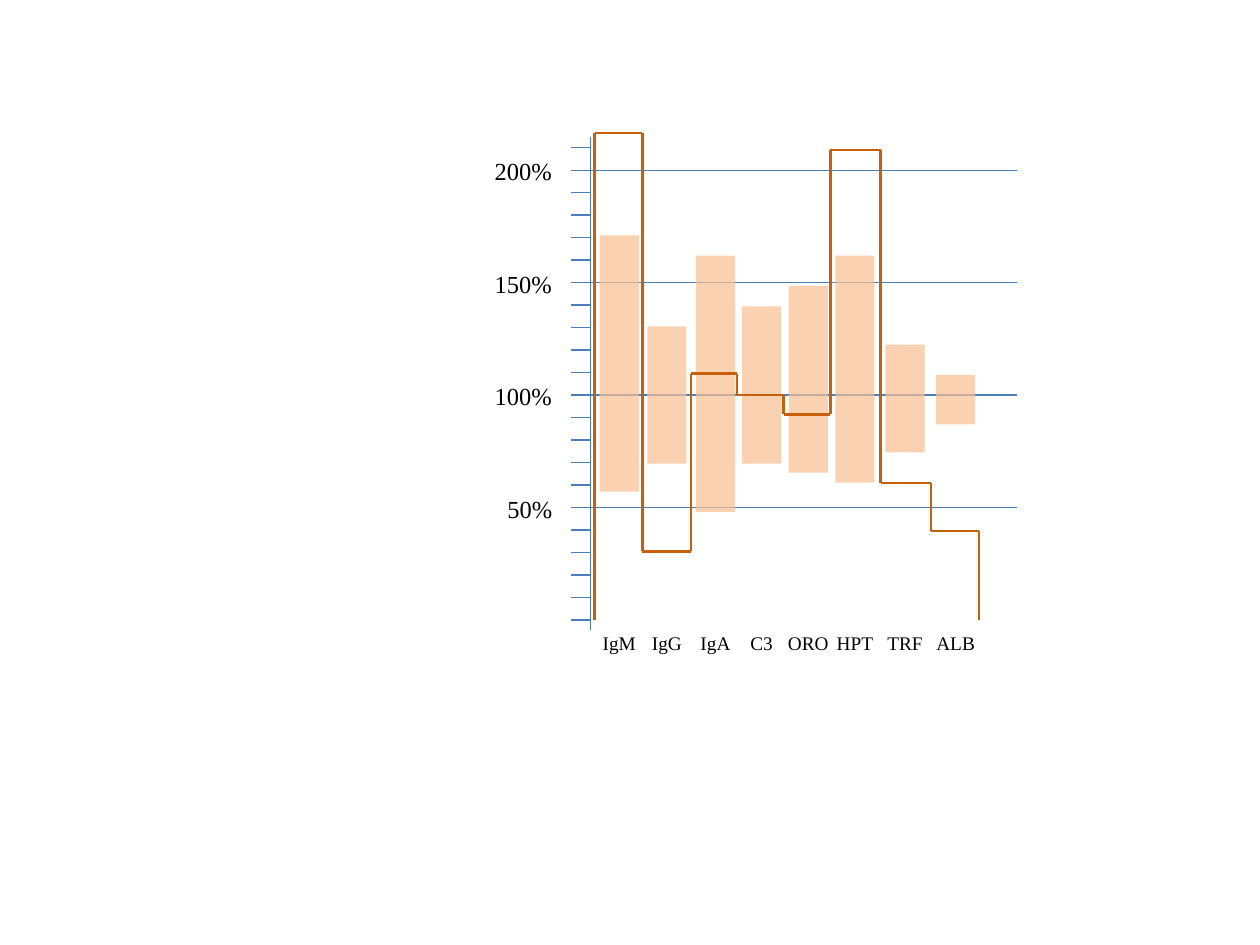
import pptx
import pptx.util
import pptx.dml.color
import pptx.enum.shapes
import pptx.enum.text
import pptx.oxml
import pptx.oxml.ns
from itertools import pairwise

Cm = pptx.util.Cm
Align = pptx.enum.text.PP_ALIGN
Anchor = pptx.enum.text.MSO_ANCHOR
HUES = {"axis": "4B7EBC", "step": "C96009", "bar": "FAC090", "text": "000000"}

ZERO, UNIT = 12.5, 9.07 / 200
AXIS, TICK, END = 11.91, 11.51, 20.5
BAR, GAP = 0.79, 0.1

PROTEINS = [
    ("IgM", 0.69, 57, 171, 216.5),
    ("IgG", 0.64, 69.5, 130.5, 30.5),
    ("IgA", 0.64, 48, 162, 109.5),
    ("C3", 0.48, 69.5, 139.5, 100),
    ("ORO", 0.91, 65.5, 148.5, 91.5),
    ("HPT", 0.91, 61, 162, 209),
    ("TRF", 0.89, 74.5, 122.5, 61),
    ("ALB", 0.89, 87, 109, 39.5),
]
EDGES = [11.99, 12.95, 13.93, 14.86, 15.8, 16.74, 17.75, 18.77, 19.74]


def level(percent):
    return ZERO - percent * UNIT


def color(name):
    return pptx.dml.color.RGBColor.from_string(HUES[name])


class Canvas:
    def __init__(self, slide, font):
        self.slide = slide
        self.font = font

    def line(self, x1, y1, x2, y2, hue="axis", width=0.75):
        link = self.slide.shapes.add_connector(
            pptx.enum.shapes.MSO_CONNECTOR.STRAIGHT, Cm(x1), Cm(y1), Cm(x2), Cm(y2))
        link.line.color.rgb = color(hue)
        link.line.width = pptx.util.Pt(width)
        props = link._element.spPr
        props.append(pptx.oxml.parse_xml(
            f"<a:effectLst {pptx.oxml.ns.nsdecls('a')}/>"))

    def bar(self, x, y, wide, high):
        rect = self.slide.shapes.add_shape(
            pptx.enum.shapes.MSO_SHAPE.RECTANGLE, Cm(x), Cm(y), Cm(wide), Cm(high))
        rect.shadow.inherit = False
        rect.line.fill.background()
        rect.fill.solid()
        rect.fill.fore_color.rgb = color("bar")
        tint = rect._element.spPr.find(".//" + pptx.oxml.ns.qn("a:srgbClr"))
        tint.append(pptx.oxml.parse_xml(
            f"<a:alpha {pptx.oxml.ns.nsdecls('a')} val='70000'/>"))

    def text(self, words, x, y, wide, high, size, align=Align.LEFT, tight=False):
        box = self.slide.shapes.add_textbox(Cm(x), Cm(y), Cm(wide), Cm(high))
        frame = box.text_frame
        frame.word_wrap = False
        frame.auto_size = pptx.enum.text.MSO_AUTO_SIZE.SHAPE_TO_FIT_TEXT
        if tight:
            frame.margin_left = frame.margin_right = 0
            frame.margin_top = frame.margin_bottom = Cm(0.03)
            frame.vertical_anchor = Anchor.MIDDLE
        line = frame.paragraphs[0]
        line.text = words
        line.alignment = align
        line.font.name = self.font
        line.font.size = pptx.util.Pt(size)
        line.font.color.rgb = color("text")


def main():
    deck = pptx.Presentation()
    deck.slide_width, deck.slide_height = Cm(25.4), Cm(19.05)
    art = Canvas(deck.slides.add_slide(deck.slide_layouts[6]), "Times New Roman")

    art.line(AXIS, 2.77, AXIS, 12.7)
    for mark in range(0, 211, 10):
        art.line(TICK, level(mark), AXIS, level(mark))

    for mark in range(50, 201, 50):
        art.line(AXIS, level(mark), END, level(mark))
        wide = 1.68 if mark >= 100 else 1.42
        art.text(f"{mark}%", 11.4 - wide, level(mark) - 0.4, wide, 0.86, 14)

    for (name, wide, low, high, value), (left, right) in zip(PROTEINS, pairwise(EDGES)):
        start = left + GAP
        art.text(name, start + (BAR - wide) / 2, 12.7, wide, 0.53, 11,
                 Align.CENTER, True)
        art.bar(start, level(high), BAR, (high - low) * UNIT)
        art.line(left, level(value), right, level(value), "step", 1.5)

    values = [0] + [row[-1] for row in PROTEINS] + [0]
    for edge, (old, new) in zip(EDGES, pairwise(values)):
        art.line(edge, level(old), edge, level(new), "step", 1.5)

    deck.save("out.pptx")


if __name__ == "__main__":
    main()
